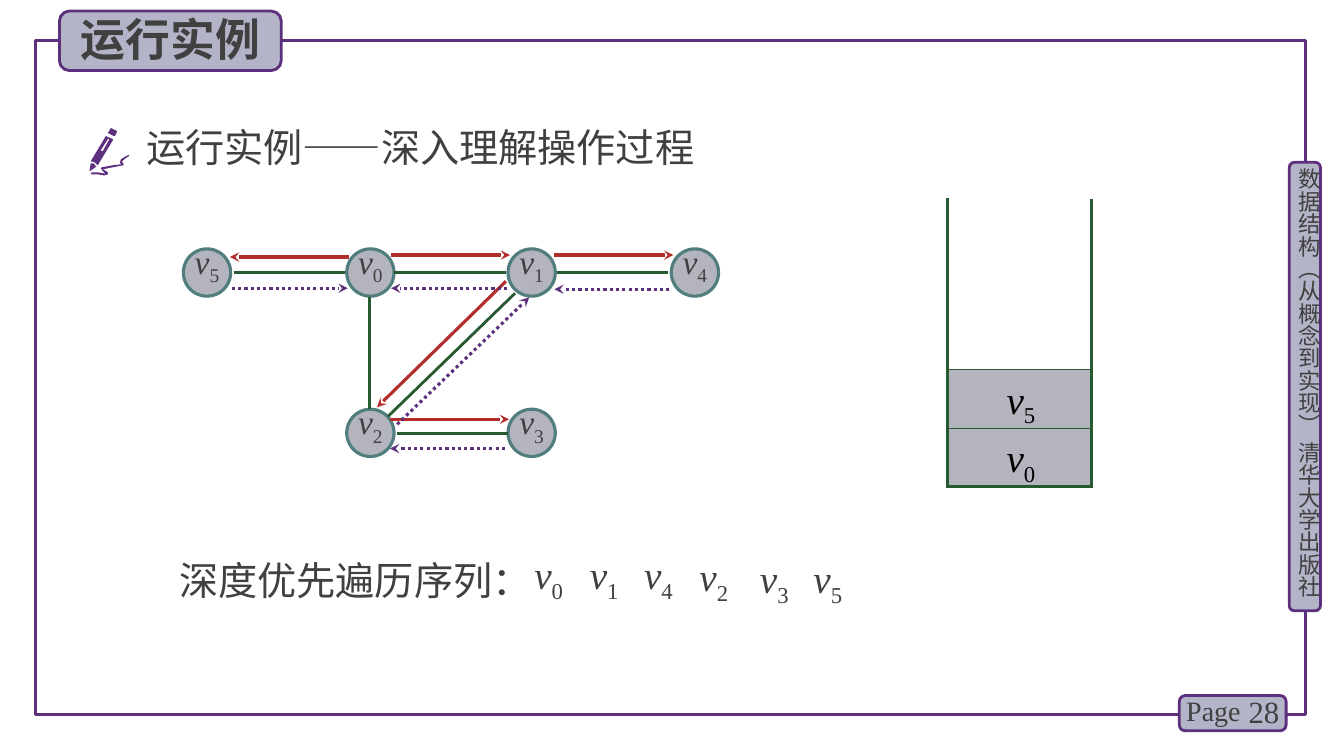
import pptx
import pptx.util
import pptx.dml.color
import pptx.enum.dml
import pptx.enum.shapes
import pptx.enum.text
import pptx.oxml.ns
import lxml.etree

Pt = pptx.util.Pt
qn = pptx.oxml.ns.qn
Preset = pptx.enum.shapes.MSO_SHAPE
Align = pptx.enum.text.PP_ALIGN
Anchor = pptx.enum.text.MSO_ANCHOR

SERIF, CJK = "Times New Roman", "Noto Sans CJK SC"
INK, PURPLE, GREEN, RED = "404040", "5C307D", "285A32", "B42D2D"
LILAC, GREY, TEAL = "B4B4C8", "B4B4BE", "507D7D"
DEFAULT_INSETS = (7.2, 3.6, 7.2, 3.6)

NODE = 33.8
NODES = {
    "5": (131, 177.8), "0": (247.7, 177.8), "1": (362.9, 177.8),
    "4": (479.5, 177.8), "2": (247.7, 292.3), "3": (362.9, 292.3),
}
EDGES = [
    (167, 194.4, 246.2, 194.4), (281.5, 194.4, 361.4, 194.4),
    (398.2, 194.4, 477.4, 194.4), (283.7, 309.6, 362.9, 309.6),
    (264.2, 212.4, 264.2, 292.3), (367.9, 209.5, 277.2, 297.4),
]
VISITS = [
    (279.4, 182.2, 364.3, 182.2), (396, 182.2, 481, 182.2),
    (361.4, 200.9, 269.3, 290.9), (278.6, 299.5, 363.6, 299.5),
    (249.1, 183.6, 164.2, 183.6),
]
RETURNS = [
    (478.1, 206.6, 396, 206.6), (360.7, 320.4, 278.6, 320.4),
    (283.7, 303.1, 378, 212.4), (362.2, 205.9, 279.4, 205.9),
    (165.6, 205.9, 248.4, 205.9),
]
WALLS = [
    (676.8, 141.1, 676.8, 347), (779.8, 141.8, 779.8, 348.5),
    (675.4, 347.8, 779.8, 347.8),
]
SEQUENCE = [
    ("0", 380.2, 392.4), ("1", 419.8, 392.4), ("4", 458.6, 392.4),
    ("2", 498.2, 393.8), ("3", 541.4, 395.3), ("5", 579.6, 395.3),
]
PEN_CAP = [(113, 135), (114, 135), (116, 131), (116, 130), (110, 127), (107, 132)]
PEN_TIP = [(95, 165), (93, 162), (90, 162), (89, 169), (89, 170), (96, 165)]
PEN_BARREL = [(97, 164), (112, 139), (112, 138), (105, 135), (90, 160), (94, 161)]
PEN_SLOT = [(100, 149), (107, 138), (108, 137), (108, 139), (102, 150), (101, 150)]
PEN_STROKE = [
    (128, 154), (127, 154), (125, 155), (120, 158), (119, 161), (120, 163),
    (112, 164), (101, 166), (100, 167), (103, 171), (105, 172), (103, 172),
    (97, 171), (91, 171), (90, 172), (91, 173), (97, 173), (103, 174),
    (104, 174), (107, 173), (107, 171), (104, 169), (102, 168), (112, 166),
    (122, 164), (123, 163), (122, 162), (121, 160), (126, 156), (128, 155),
]


def rgb(code):
    return pptx.dml.color.RGBColor.from_string(code)


def write(holder, text, sub="", size=28, font=SERIF, color=INK, bold=False,
          align=Align.LEFT, anchor=Anchor.TOP, insets=DEFAULT_INSETS, leading=None):
    frame = holder.text_frame
    frame.word_wrap = True
    frame.auto_size = pptx.enum.text.MSO_AUTO_SIZE.NONE
    frame.vertical_anchor = anchor
    (frame.margin_left, frame.margin_top,
     frame.margin_right, frame.margin_bottom) = map(Pt, insets)
    line = frame.paragraphs[0]
    line.alignment = align
    line.space_before = Pt(0)
    if leading:
        line.line_spacing = Pt(leading)
    for part in filter(None, (text, sub)):
        run = line.add_run()
        run.text = part
        run.font.size = Pt(size)
        run.font.bold = bold
        run.font.italic = bool(sub) and part == text
        run.font.color.rgb = rgb(color)
        run.font.name = font
        properties = run.font._element
        lxml.etree.SubElement(properties, qn("a:ea")).set("typeface", CJK)
        if part == sub:
            properties.set("baseline", "-25000")
    return line


def place(holder, left, top, width, height):
    holder.left, holder.top = Pt(left), Pt(top)
    holder.width, holder.height = Pt(width), Pt(height)


def label(slide, box, text, **style):
    holder = slide.shapes.add_textbox(*map(Pt, box))
    write(holder, text, **style)
    return holder


def panel(slide, preset, box, fill, line, weight):
    shape = slide.shapes.add_shape(preset, *map(Pt, box))
    shape.shadow.inherit = False
    if fill:
        shape.fill.solid()
        shape.fill.fore_color.rgb = rgb(fill)
    else:
        shape.fill.background()
    shape.line.color.rgb = rgb(line)
    shape.line.width = Pt(weight)
    return shape


def stroke(slide, ends, color, weight=2.25, arrow=False, dotted=False):
    link = slide.shapes.add_connector(
        pptx.enum.shapes.MSO_CONNECTOR.STRAIGHT, *map(Pt, ends))
    link.line.color.rgb = rgb(color)
    link.line.width = Pt(weight)
    if dotted:
        link.line.dash_style = pptx.enum.dml.MSO_LINE.ROUND_DOT
    if arrow:
        outline = link.line._get_or_add_ln()
        lxml.etree.SubElement(outline, qn("a:tailEnd")).set("type", "stealth")
    lxml.etree.SubElement(link._element.spPr, qn("a:effectLst"))


def pen_part(slide, *outlines):
    builder = slide.shapes.build_freeform(*outlines[0][0], scale=Pt(0.72))
    builder.add_line_segments(outlines[0][1:], close=True)
    for hole in outlines[1:]:
        builder.move_to(*hole[0])
        builder.add_line_segments(hole[1:], close=True)
    part = builder.convert_to_shape()
    part.shadow.inherit = False
    part.fill.solid()
    part.fill.fore_color.rgb = rgb(PURPLE)
    part.line.fill.background()


def draw_frame(slide):
    panel(slide, Preset.RECTANGLE, (25.2, 28.8, 907.2, 481.7), None, PURPLE, 2.25)
    for box in ((920.9, 115.9, 22.3, 320.4), (842.4, 496.8, 76.3, 25.2),
                (42.5, 7.9, 158.4, 42.5)):
        panel(slide, Preset.ROUNDED_RECTANGLE, box, LILAC, PURPLE, 2)
    book = label(slide, (925.2, 120.2, 19.4, 323.3),
                 "数据结构（从概念到实现） 清华大学出版社",
                 size=16, font=CJK, insets=(0, 0, 0, 0))
    book.text_frame._txBody.bodyPr.set("vert", "eaVert")
    label(slide, (878.4, 493.9, 42.5, 28.8), "28", size=22,
          align=Align.RIGHT, anchor=Anchor.MIDDLE)
    label(slide, (840.2, 491.8, 56.2, 31.7), "Page", size=20)


def draw_headings(slide):
    title, topic = slide.placeholders
    place(title, 50.4, 5, 156.2, 46.1)
    write(title, "运行实例", size=32, font=CJK, bold=True)
    slide.shapes._spTree.append(title._element)
    place(topic, 97.2, 84.2, 671, 41)
    properties = write(topic, "运行实例——深入理解操作过程")._p.get_or_add_pPr()
    properties.set("marL", "0")
    properties.set("indent", "0")
    lxml.etree.SubElement(properties, qn("a:buNone"))
    for outlines in ((PEN_CAP,), (PEN_TIP,), (PEN_BARREL, PEN_SLOT), (PEN_STROKE,)):
        pen_part(slide, *outlines)


def draw_graph(slide):
    for index, corner in NODES.items():
        node = panel(slide, Preset.OVAL, (*corner, NODE, NODE), GREY, TEAL, 2.25)
        write(node, "v", sub=index, size=24, align=Align.CENTER,
              insets=(0, 0, 0, 0), leading=22)
    for edge in EDGES:
        stroke(slide, edge, GREEN, weight=2)
    for visit in VISITS:
        stroke(slide, visit, RED, arrow=True)
    for step_back in RETURNS:
        stroke(slide, step_back, PURPLE, arrow=True, dotted=True)


def draw_stack(slide):
    for level, index in enumerate("05"):
        cell = panel(slide, Preset.RECTANGLE,
                     (676.8, 306 - 41.8 * level, 103, 41.8), GREY, GREEN, 0.75)
        write(cell, "v", sub=index, color="000000", insets=(42.2, 3.6, 7.2, 3.6))
    for wall in WALLS:
        stroke(slide, wall, GREEN)


def draw_sequence(slide):
    label(slide, (121, 393.8, 290.9, 41), "深度优先遍历序列：")
    for index, left, top in SEQUENCE:
        label(slide, (left, top, 44.6, 36), "v", sub=index,
              insets=(1.44, 0.72, 1.44, 0.72))


def main():
    deck = pptx.Presentation()
    deck.slide_width, deck.slide_height = Pt(960), Pt(540)
    slide = deck.slides.add_slide(deck.slide_layouts[1])
    draw_frame(slide)
    draw_headings(slide)
    draw_graph(slide)
    draw_stack(slide)
    draw_sequence(slide)
    deck.save("out.pptx")


if __name__ == "__main__":
    main()
